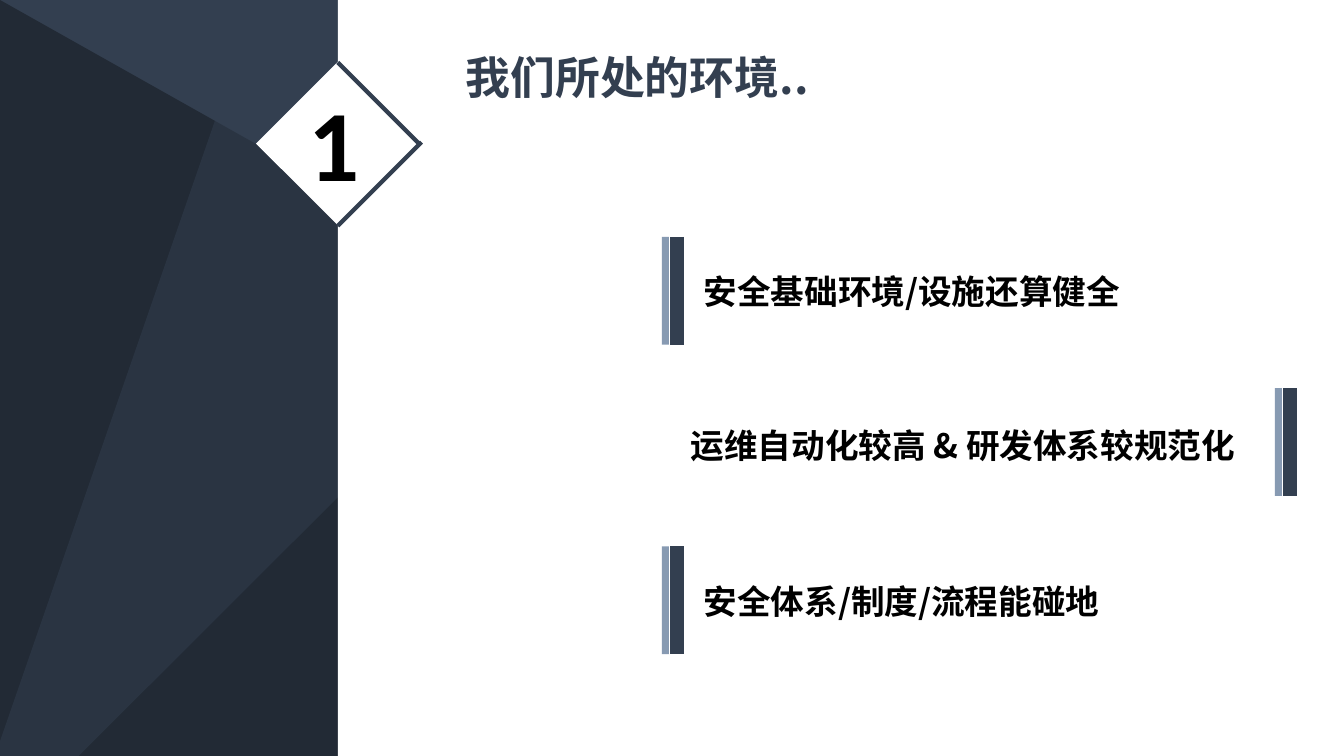
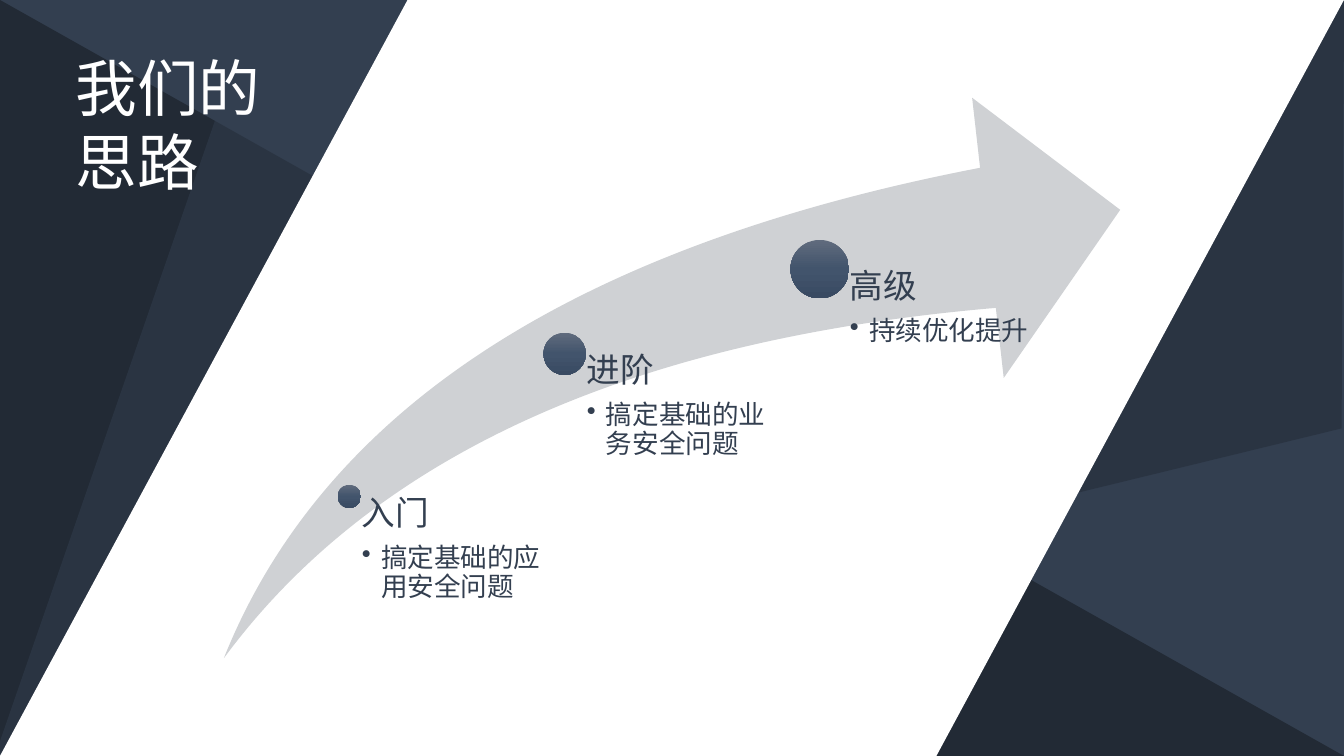
from copy import deepcopy
from dataclasses import dataclass

from lxml.etree import SubElement
from pptx import Presentation
from pptx.dml.color import RGBColor
from pptx.enum.shapes import MSO_CONNECTOR, MSO_SHAPE
from pptx.enum.text import MSO_AUTO_SIZE
from pptx.oxml.ns import qn
from pptx.util import Inches, Pt


@dataclass(frozen=True)
class Theme:
    navy: str = "333F50"
    dark: str = "222A35"
    steel: str = "8497B0"
    white: str = "FFFFFF"
    black: str = "000000"
    arrow: str = "CFD1D4"
    shade: tuple = ((0, "606B7D"), (0.5, "42546C"), (1, "394A62"))
    latin: str = "Calibri"
    hans: str = "Noto Sans CJK SC"
    number: int = 72
    cover: int = 44
    title: int = 32
    body: int = 24
    note: int = 19


T = Theme()
WIDE, HIGH = 13.33, 7.5


def rgb(code):
    return RGBColor.from_string(code)


def fade(shape, share):
    """Set the opacity of the shape's colour in percent."""
    color = shape._element.spPr.find(".//" + qn("a:srgbClr"))
    SubElement(color, qn("a:alpha")).set("val", str(share * 1000))


def add_form(shapes, kind, box, fill=None, adj=(), turn=0, alpha=100):
    form = shapes.add_shape(kind, *map(Inches, box))
    form.shadow.inherit = False
    form.line.fill.background()
    form.rotation = turn
    for i, value in enumerate(adj):
        form.adjustments[i] = value
    if fill:
        form.fill.solid()
        form.fill.fore_color.rgb = rgb(fill)
    if alpha < 100:
        fade(form, alpha)
    return form


def add_line(shapes, start, end, color, width):
    line = shapes.add_connector(MSO_CONNECTOR.STRAIGHT, *map(Inches, start + end))
    line.line.color.rgb = rgb(color)
    line.line.width = Pt(width)
    SubElement(line._element.spPr, qn("a:effectLst"))
    return line


def style(par, size, color, font, bold=False):
    for run in par.runs:
        run.font.size = Pt(size)
        run.font.bold = bold
        run.font.color.rgb = rgb(color)
        run.font.name = font
        SubElement(run._r.get_or_add_rPr(), qn("a:ea")).set("typeface", font)


def add_frame(shapes, box, pads=(0.1, 0.05, 0.1, 0.05), grow=True):
    frame = shapes.add_textbox(*map(Inches, box)).text_frame
    frame.word_wrap = True
    frame.auto_size = MSO_AUTO_SIZE.SHAPE_TO_FIT_TEXT if grow else MSO_AUTO_SIZE.NONE
    (frame.margin_left, frame.margin_top,
     frame.margin_right, frame.margin_bottom) = map(Inches, pads)
    return frame


def add_text(shapes, box, text, size, color, font, bold=False, **pads):
    frame = add_frame(shapes, box, **pads)
    frame.text = text
    par = frame.paragraphs[0]
    style(par, size, color, font, bold)
    return par


def add_page(deck):
    """Add a blank slide with the shared faceted backdrop."""
    shapes = deck.slides.add_slide(deck.slide_layouts[6]).shapes
    add_form(shapes, MSO_SHAPE.ISOSCELES_TRIANGLE, (0, 0, WIDE, HIGH), T.dark, (0,))
    add_form(shapes, MSO_SHAPE.PARALLELOGRAM, (-0.71, 1.68, 14.74, 4.13),
             T.dark, turn=346.3, alpha=50)
    add_form(shapes, MSO_SHAPE.ISOSCELES_TRIANGLE, (1.18, -1.16, 5.41, 11.12),
             T.navy, (1,), turn=199.1, alpha=50)
    return shapes


def add_badge(shapes, text):
    """Numbered diamond with an outline on its right half."""
    group = shapes.add_group_shape().shapes
    add_form(group, MSO_SHAPE.DIAMOND, (2.54, 0.61, 1.63, 1.63), T.white)
    add_line(group, (3.35, 0.62), (4.16, 1.43), T.navy, 3)
    add_line(group, (4.18, 1.41), (3.35, 2.24), T.navy, 3)
    add_text(shapes, (2.96, 0.75, 0.75, 1.31), text, T.number, T.black, T.latin, True)


def add_point(shapes, text, bar, top, box):
    """Statement with a two-tone bar beside it."""
    group = shapes.add_group_shape().shapes
    end = top + 1.07
    add_line(group, (bar, top), (bar, end), T.navy, 10)
    edge = add_line(group, (bar - 0.11, top), (bar - 0.11, end), T.steel, 5)
    fade(edge, 96)
    par = add_text(group, box, text, T.body, T.black, T.hans, True,
                   pads=(0.07, 0.04, 0.07, 0.04))
    par.line_spacing = 1.3


def add_stage(shapes, name, note, left, top, size, width, base):
    """Shaded dot on the arrow with a heading and one bullet."""
    dot = add_form(shapes, MSO_SHAPE.OVAL, (left, top, size, size))
    dot.fill.gradient()
    dot.fill.gradient_angle = 270
    stops = dot._element.spPr.find(".//" + qn("a:gsLst"))
    stops.insert(1, deepcopy(stops[0]))
    for stop, (place, color) in zip(dot.fill.gradient_stops, T.shade):
        stop.position = place
        stop.color.rgb = rgb(color)

    # Text starts at the dot's centre, inset past its edge
    half = size / 2
    x, y = left + half, top + half
    frame = add_frame(shapes, (x, y, width, base - y), (half + 0.01, 0, 0, 0), False)
    head = frame.paragraphs[0]
    head.text = name
    head.space_after = Pt(8.4)
    item = frame.add_paragraph()
    item.text = note
    item.level = 1
    props = item._p.get_or_add_pPr()
    props.set("marL", str(Inches(0.19)))
    props.set("indent", str(-Inches(0.19)))
    SubElement(props, qn("a:buChar")).set("char", "•")
    for par, pt in ((head, T.body), (item, T.note)):
        par.line_spacing = 0.9
        style(par, pt, T.navy, T.latin)


def build_setting(deck):
    shapes = add_page(deck)
    add_form(shapes, MSO_SHAPE.RECTANGLE, (3.35, 0, WIDE - 3.35, HIGH), T.white)
    add_badge(shapes, "1")
    points = (
        ("安全基础环境/设施还算健全", 6.71, 2.35, (6.91, 2.53, 4.54, 0.6)),
        ("运维自动化较高 & 研发体系较规范化", 12.79, 3.85, (6.78, 4.06, 5.71, 0.6)),
        ("安全体系/制度/流程能碰地", 6.71, 5.42, (6.91, 5.6, 4.54, 0.6)),
    )
    for point in points:
        add_point(shapes, *point)
    add_text(shapes, (4.52, 0.44, 7.74, 0.64), "我们所处的环境..",
             T.title, T.navy, T.hans, True)


def build_path(deck):
    shapes = add_page(deck)
    add_form(shapes, MSO_SHAPE.PARALLELOGRAM, (0, 0, WIDE, HIGH), T.white, (0.539,))
    add_text(shapes, (0.65, 0.45, 2.22, 1.58), "我们的思路", T.cover, T.white, T.latin)
    group = shapes.add_group_shape().shapes
    add_form(group, MSO_SHAPE.SWOOSH_ARROW, (2.22, 0.97, 8.89, 5.56),
             T.arrow, (0.25, 0.25))
    stages = (
        ("入门", "搞定基础的应用安全问题", 3.35, 4.81, 0.23, 2.07),
        ("进阶", "搞定基础的业务安全问题", 5.39, 3.3, 0.42, 2.13),
        ("高级", "持续优化提升", 7.84, 2.38, 0.58, 2.13),
    )
    for stage in stages:
        add_stage(group, *stage, base=6.53)


def main():
    deck = Presentation()
    deck.slide_width, deck.slide_height = Inches(WIDE), Inches(HIGH)
    # Background colour for every slide
    ground = deck.slide_master.background.fill
    ground.solid()
    ground.fore_color.rgb = rgb(T.navy)
    build_setting(deck)
    build_path(deck)
    deck.save("out.pptx")


if __name__ == "__main__":
    main()
